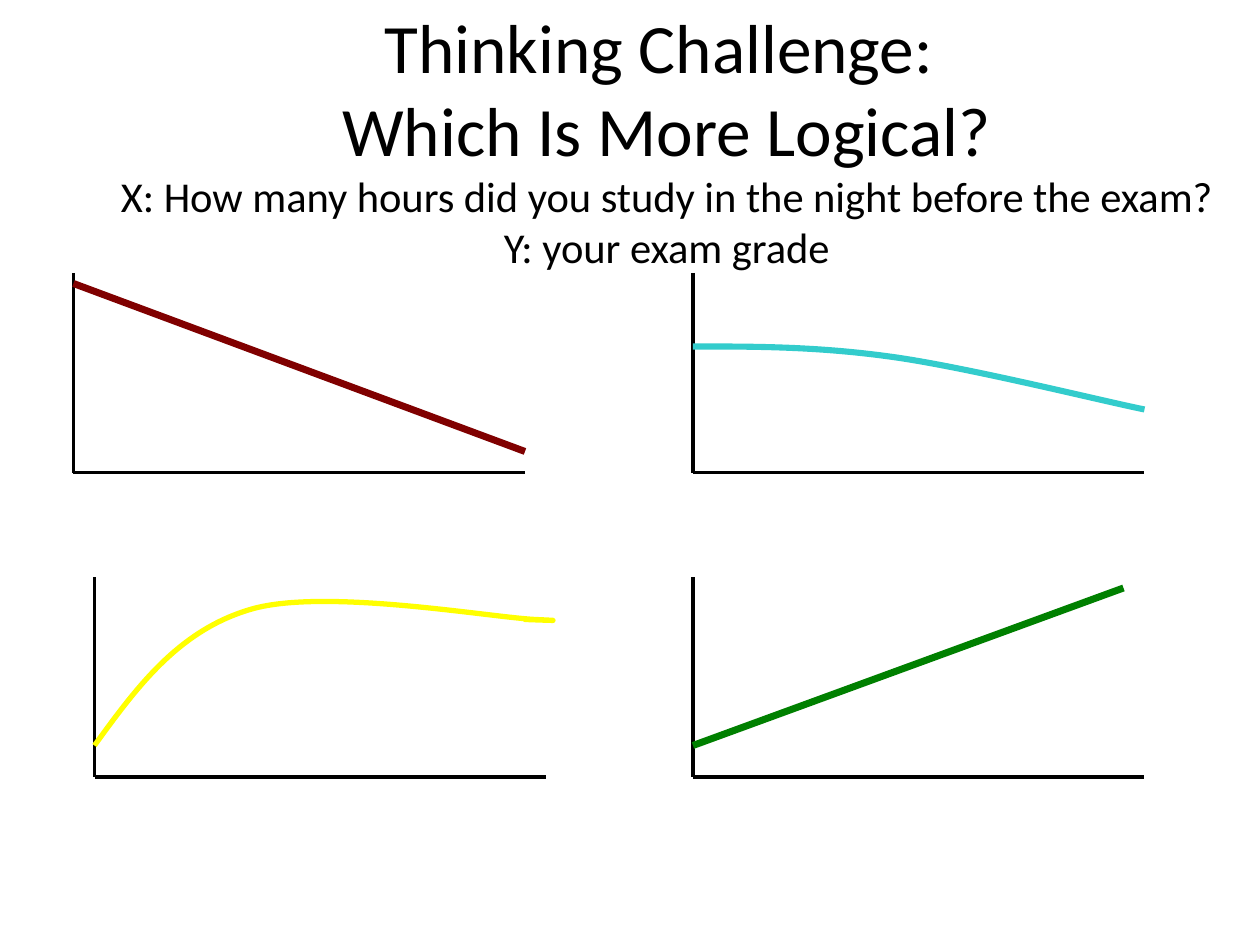
import copy
from dataclasses import dataclass

import pptx
import pptx.dml.color
import pptx.enum.shapes
import pptx.enum.text
import pptx.oxml
import pptx.oxml.ns
import pptx.util

Point = tuple[float, float]


@dataclass(frozen=True)
class Theme:
    font: str = "Calibri"
    ink: str = "000000"
    falling: str = "800000"
    fading: str = "33CCCC"
    peaking: str = "FFFF00"
    rising: str = "008000"
    heading_size: float = 39.6
    question_size: float = 24.3
    axis_width: float = 2


@dataclass(frozen=True)
class Plot:
    """Axes from an origin, and a trend: two points, or a chain of cubic curves."""
    origin: Point
    trend: tuple[Point, ...]
    color: str
    width: float


THEME = Theme()

# Grid of 120 columns by 90 rows
COLUMNS, ROWS = 120, 90
SLIDE_WIDTH, SLIDE_HEIGHT = pptx.util.Inches(10), pptx.util.Inches(7.5)
AXIS_COLUMNS, AXIS_ROWS = 43, 19

HEADING = ("Thinking Challenge: ", "Which Is More Logical?")
QUESTION = ("X: How many hours did you study in the night before the exam?",
            "Y: your exam grade")

PLOTS = (
    Plot((7, 45), ((7, 27), (50, 43)), THEME.falling, 4),
    Plot((9, 74), ((9, 71), (13, 65.5), (17, 60), (24, 58),
                   (31, 56), (46.7, 58.8), (51, 59),
                   (55.3, 59.2), (50, 59), (50, 59),
                   (50, 59), (50.5, 59), (51, 59)), THEME.peaking, 3),
    Plot((66, 74), ((66, 71), (107, 56)), THEME.rising, 4),
    Plot((66, 45), ((66, 33), (71.9, 33), (77.9, 33), (85, 34),
                    (92.2, 35), (105, 38.2), (109, 39)), THEME.fading, 3.5),
)


def place(point: Point) -> tuple[int, int]:
    column, row = point
    return round(SLIDE_WIDTH * column / COLUMNS), round(SLIDE_HEIGHT * row / ROWS)


def style_line(line, color: str, width: float) -> None:
    line.color.rgb = pptx.dml.color.RGBColor.from_string(color)
    line.width = pptx.util.Pt(width)


def draw_line(slide, start: Point, end: Point, color: str, width: float) -> None:
    connector = slide.shapes.add_connector(
        pptx.enum.shapes.MSO_CONNECTOR.STRAIGHT, *place(start), *place(end))
    style_line(connector.line, color, width)
    connector.element.spPr.append(pptx.oxml.parse_xml(
        f'<a:effectLst {pptx.oxml.ns.nsdecls("a")}/>'))


def bend_segments(shape) -> None:
    """Turn every three straight segments into one cubic curve."""
    outline = shape.element.find(f'.//{pptx.oxml.ns.qn("a:path")}')
    segments = outline.findall(pptx.oxml.ns.qn("a:lnTo"))
    for first in range(0, len(segments), 3):
        curve = pptx.oxml.parse_xml(f'<a:cubicBezTo {pptx.oxml.ns.nsdecls("a")}/>')
        for segment in segments[first:first + 3]:
            curve.append(segment[0])
            outline.remove(segment)
        outline.append(curve)


def draw_curve(slide, controls: tuple[Point, ...], color: str, width: float) -> None:
    start, *others = [place(point) for point in controls]
    builder = slide.shapes.build_freeform(*start)
    builder.add_line_segments(others, close=False)
    shape = builder.convert_to_shape()
    bend_segments(shape)
    shape.shadow.inherit = False
    shape.fill.background()
    style_line(shape.line, color, width)


def draw_plot(slide, plot: Plot) -> None:
    column, row = plot.origin
    axes = (((column, row - AXIS_ROWS), plot.origin),
            (plot.origin, (column + AXIS_COLUMNS, row)))
    for start, end in axes:
        draw_line(slide, start, end, THEME.ink, THEME.axis_width)
    draw_trend = draw_curve if len(plot.trend) > 2 else draw_straight_trend
    draw_trend(slide, plot.trend, plot.color, plot.width)


def draw_straight_trend(slide, ends: tuple[Point, ...], color: str, width: float) -> None:
    start, end = ends
    draw_line(slide, start, end, color, width)


def write_title(slide) -> None:
    title = slide.shapes.title
    title.left, title.top = place((7, 5.75))
    title.width, title.height = place((113, 14.85))
    frame = title.text_frame
    frame.auto_size = pptx.enum.text.MSO_AUTO_SIZE.NONE
    frame.vertical_anchor = pptx.enum.text.MSO_ANCHOR.MIDDLE
    paragraph = frame.paragraphs[0]
    paragraph.alignment = pptx.enum.text.PP_ALIGN.CENTER
    lines = ([(text, THEME.heading_size) for text in HEADING]
             + [(text, THEME.question_size) for text in QUESTION])
    for index, (text, size) in enumerate(lines):
        if index:
            # The break takes the type size of the line it ends
            paragraph.add_line_break()
            paragraph._p[-1].append(copy.deepcopy(run._r.rPr))
        run = paragraph.add_run()
        run.text = text
        run.font.name = THEME.font
        run.font.size = pptx.util.Pt(size)
        run.font.color.rgb = pptx.dml.color.RGBColor.from_string(THEME.ink)


def main() -> None:
    presentation = pptx.Presentation()
    presentation.slide_width, presentation.slide_height = SLIDE_WIDTH, SLIDE_HEIGHT
    slide = presentation.slides.add_slide(presentation.slide_layouts[5])
    write_title(slide)
    for plot in PLOTS:
        draw_plot(slide, plot)
    presentation.save("out.pptx")


if __name__ == "__main__":
    main()
